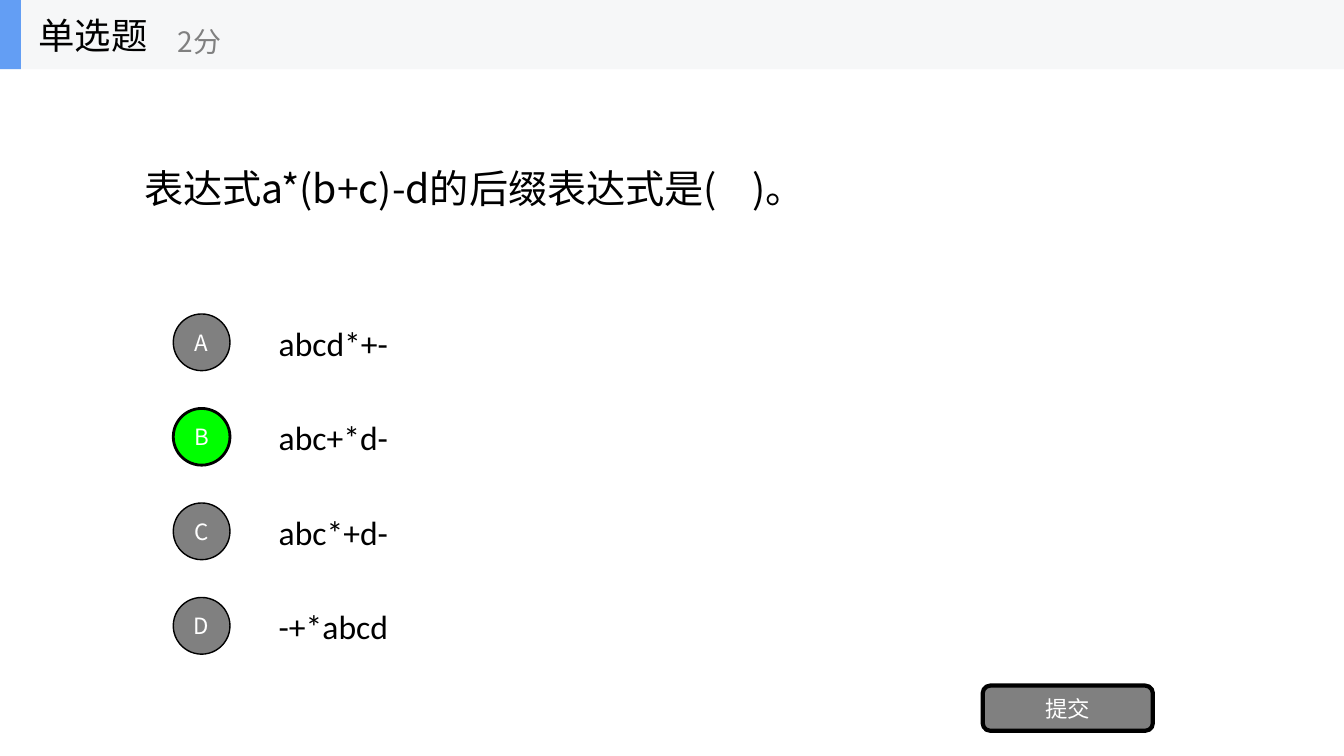
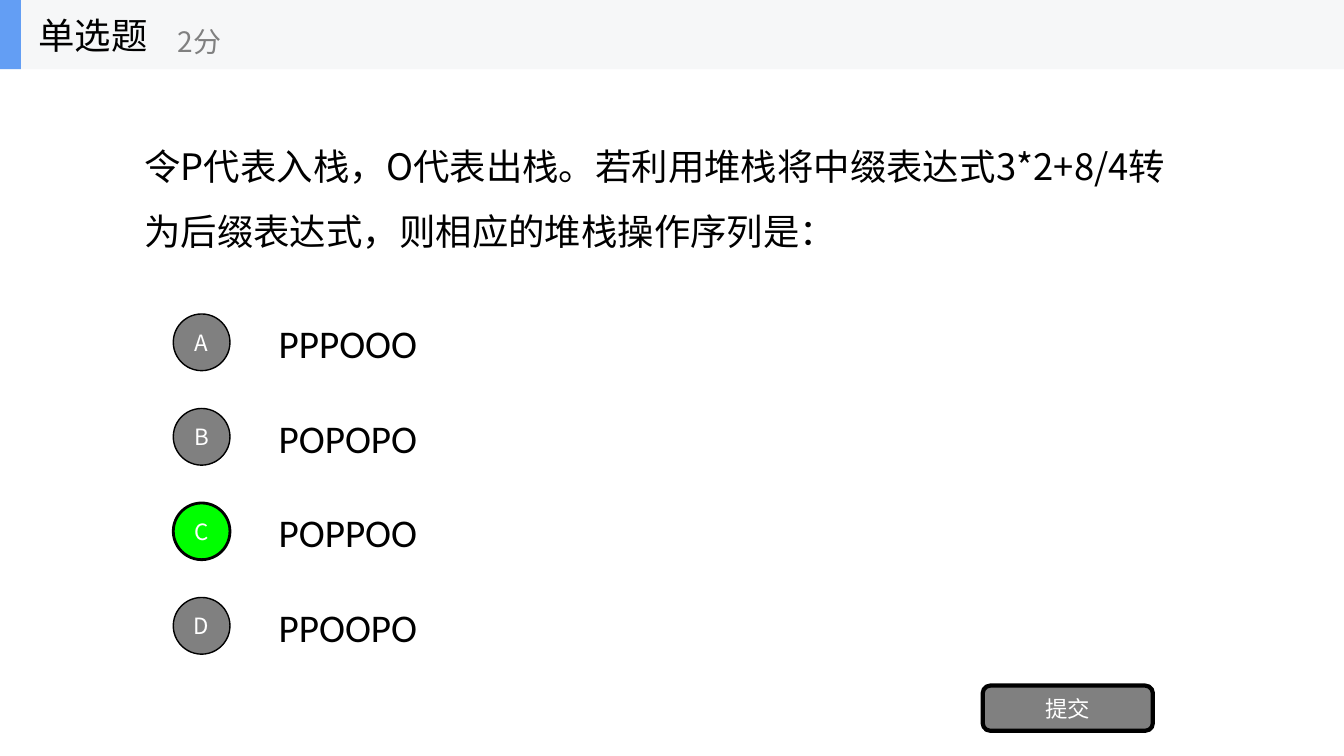
from dataclasses import dataclass

from pptx import Presentation
from pptx.dml.color import RGBColor
from pptx.enum.shapes import MSO_SHAPE
from pptx.enum.text import MSO_ANCHOR, PP_ALIGN
from pptx.oxml.ns import qn
from pptx.util import Pt

PX = 9525


@dataclass(frozen=True)
class Theme:
    ink: str = "000000"
    muted: str = "808080"
    light: str = "FFFFFF"
    band: str = "F6F7F8"
    accent: str = "639EF4"
    correct: str = "00FF00"
    cjk: str = "Noto Sans CJK SC"
    latin: str = "Calibri"
    heading: int = 26
    points: int = 20
    label: int = 16


@dataclass(frozen=True)
class Box:
    left: int
    top: int
    width: int
    height: int

    def inner(self, left, top, width, height):
        return Box(self.left + left, self.top + top, width, height)

    def emu(self):
        return [side * PX for side in (self.left, self.top, self.width, self.height)]


@dataclass(frozen=True)
class Question:
    stem: str
    stem_size: int
    options: tuple
    option_size: int
    answer: str
    spacing: float = 1.0


THEME = Theme()
PAGE = Box(0, 0, 1280, 720)
QUESTIONS = (
    Question("表达式a*(b+c)-d的后缀表达式是(    )。", 28,
             ("abcd*+-", "abc+*d-", "abc*+d-", "-+*abcd"), 24, "B"),
    Question("令P代表入栈，O代表出栈。若利用堆栈将中缀表达式3*2+8/4"
             "转为后缀表达式，则相应的堆栈操作序列是：", 26,
             ("PPPOOO", "POPOPO", "POPPOO", "PPOOPO"), 28, "C", 1.5),
)


def apply_format(target, values):
    for attribute, value in values.items():
        setattr(target, attribute, value)


def write(holder, text, size, color, font=THEME.cjk, align=PP_ALIGN.LEFT, spacing=1.0):
    frame = holder.text_frame
    apply_format(frame, {"word_wrap": True, "vertical_anchor": MSO_ANCHOR.MIDDLE})
    paragraph = frame.paragraphs[0]
    apply_format(paragraph, {"alignment": align, "line_spacing": spacing})
    run = paragraph.add_run()
    run.text = text
    apply_format(run.font, {"size": Pt(size), "name": font})
    run.font.color.rgb = RGBColor.from_string(color)
    east_asian = run.font._element.makeelement(qn("a:ea"), {"typeface": THEME.cjk})
    run.font._element.find(qn("a:latin")).addnext(east_asian)


def add_text(shapes, box, *words, **style):
    write(shapes.add_textbox(*box.emu()), *words, **style)


def add_panel(shapes, kind, box, fill, line_width=0):
    panel = shapes.add_shape(kind, *box.emu())
    panel.shadow.inherit = False
    panel.fill.solid()
    panel.fill.fore_color.rgb = RGBColor.from_string(fill)
    if line_width:
        panel.line.color.rgb = RGBColor.from_string(THEME.ink)
        panel.line.width = Pt(line_width)
    else:
        panel.line.fill.background()
    return panel


def add_button(shapes, kind, box, label, fill, line_width):
    button = add_panel(shapes, kind, box, fill, line_width)
    insets = ("margin_left", "margin_right", "margin_top", "margin_bottom")
    apply_format(button.text_frame, dict.fromkeys(insets, 0))
    write(button, label, THEME.label, THEME.light, align=PP_ALIGN.CENTER)


def add_header(shapes, box):
    header = shapes.add_group_shape().shapes
    add_panel(header, MSO_SHAPE.RECTANGLE, box, THEME.band)
    add_panel(header, MSO_SHAPE.RECTANGLE, box.inner(0, 0, 20, box.height), THEME.accent)
    add_text(header, box.inner(27, 0, 200, box.height), "单选题", THEME.heading, THEME.ink)
    add_text(header, box.inner(160, 12, 240, 54), "2分", THEME.points, THEME.muted)


def add_options(shapes, box, question):
    pitch = 90
    for index, (letter, option) in enumerate(zip("ABCD", question.options)):
        row = box.inner(0, index * pitch, box.width, 67)
        add_text(shapes, row.inner(91, 0, row.width - 91, row.height), option,
                 question.option_size, THEME.ink, font=THEME.latin)
        chosen = letter == question.answer
        add_button(shapes, MSO_SHAPE.OVAL, row.inner(0, 6, 54, 54), letter,
                   THEME.correct if chosen else THEME.muted, 2 if chosen else 1)


def add_question_slide(deck, box, question):
    shapes = deck.slides.add_slide(deck.slide_layouts[6]).shapes
    add_text(shapes, box.inner(128, 66, 1024, 225), question.stem,
             question.stem_size, THEME.ink, spacing=question.spacing)
    add_options(shapes, box.inner(165, 293, 987, 337), question)
    add_button(shapes, MSO_SHAPE.ROUNDED_RECTANGLE, box.inner(936, 653, 162, 43),
               "提交", THEME.muted, 3)
    add_header(shapes, box.inner(0, 0, box.width, 66))


def main():
    deck = Presentation()
    apply_format(deck, {"slide_width": PAGE.width * PX, "slide_height": PAGE.height * PX})
    for question in QUESTIONS:
        add_question_slide(deck, PAGE, question)
    deck.save("out.pptx")


if __name__ == "__main__":
    main()
